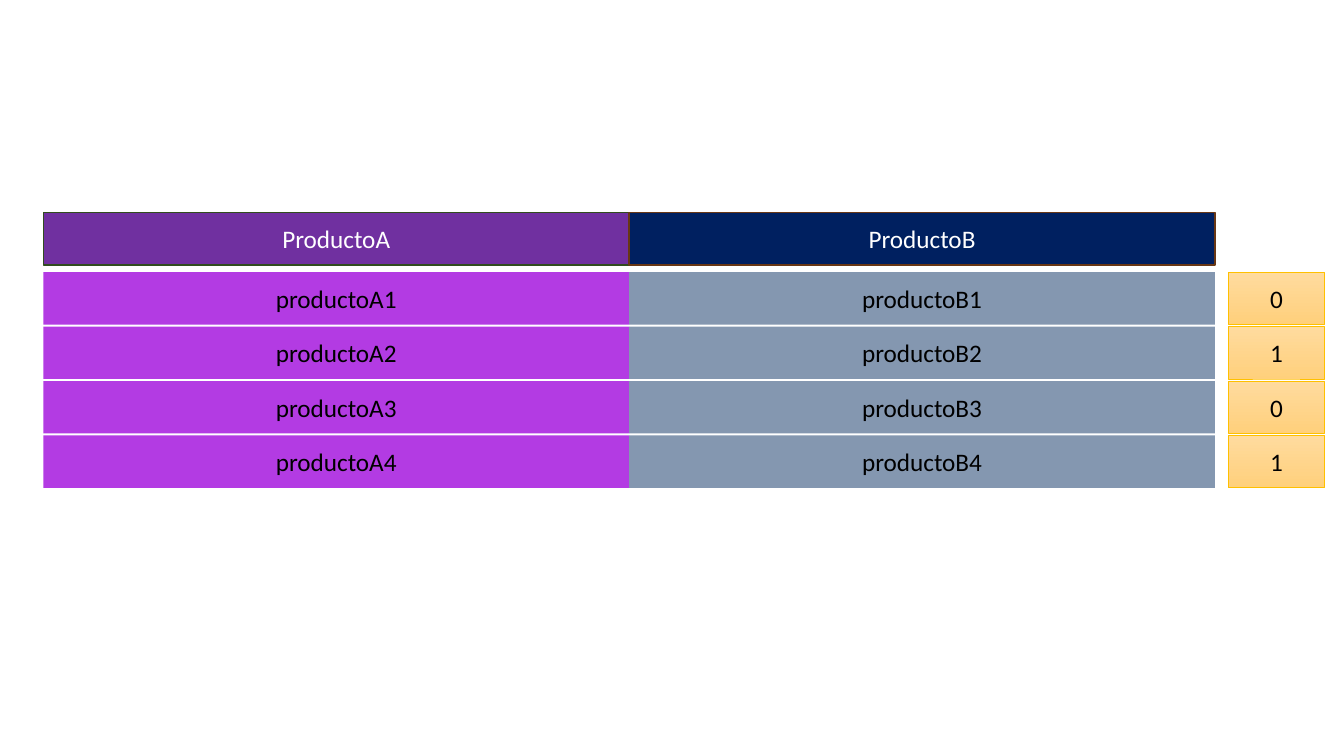
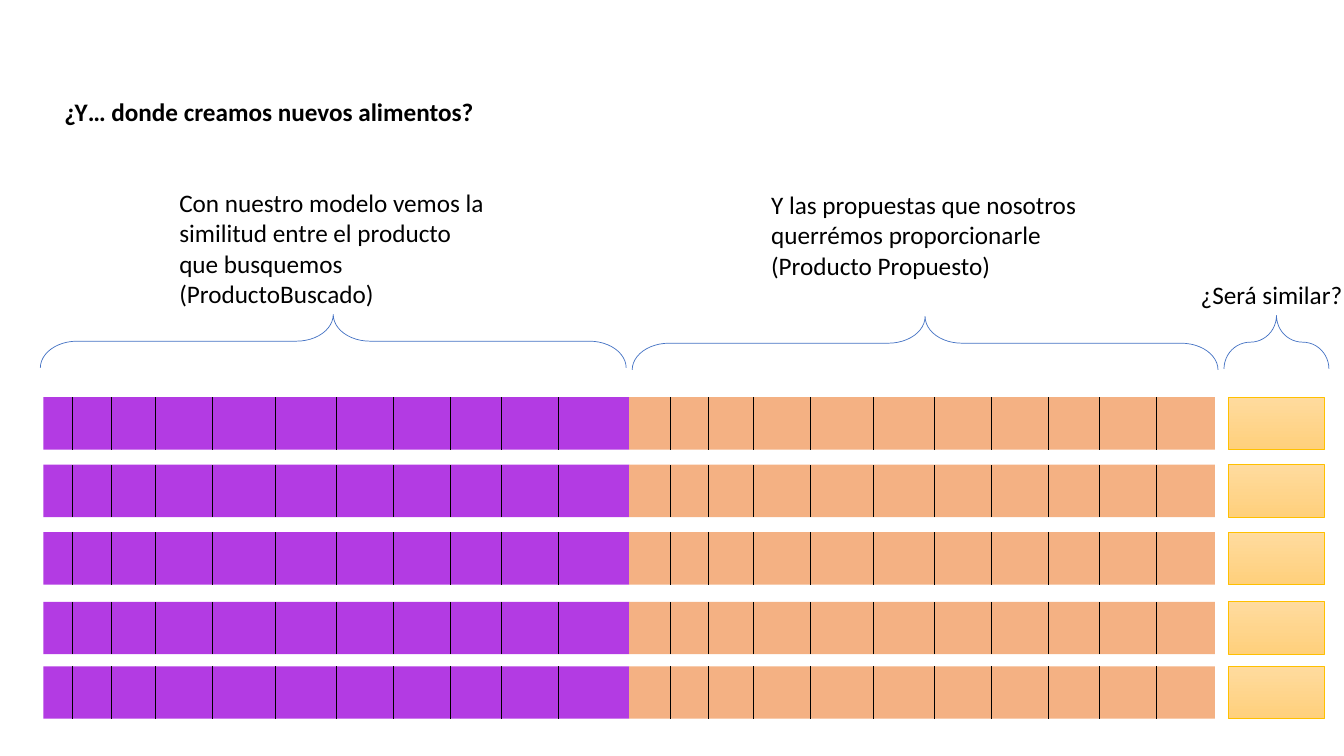
"""Builds two slides that compare product pairs with a similarity flag."""
from lxml.etree import SubElement
from pptx import Presentation
from pptx.dml.color import RGBColor
from pptx.enum.shapes import MSO_CONNECTOR, MSO_SHAPE
from pptx.enum.text import MSO_ANCHOR, MSO_AUTO_SIZE, PP_ALIGN
from pptx.oxml.ns import qn
from pptx.util import Inches, Pt

BLACK = RGBColor(0x00, 0x00, 0x00)
WHITE = RGBColor(0xFF, 0xFF, 0xFF)
PURPLE = RGBColor(0x70, 0x30, 0xA0)
NAVY = RGBColor(0x00, 0x20, 0x60)
VIOLET = RGBColor(0xB3, 0x3B, 0xE3)
SLATE = RGBColor(0x84, 0x97, 0xB0)
PEACH = RGBColor(0xF4, 0xB1, 0x83)
GREEN_EDGE = RGBColor(0x31, 0x4C, 0x1F)
BROWN_EDGE = RGBColor(0x68, 0x37, 0x15)
GOLD_EDGE = RGBColor(0xFF, 0xC0, 0x00)
BRACE_BLUE = RGBColor(0x44, 0x72, 0xC4)
GOLD_STOPS = RGBColor(0xFF, 0xDB, 0x9E), RGBColor(0xFF, 0xD0, 0x7C)

HEADERS = [("ProductoA", PURPLE, GREEN_EDGE), ("ProductoB", NAVY, BROWN_EDGE)]
PAIRS = [
    ("productoA1", "productoB1", "0"),
    ("productoA2", "productoB2", "1"),
    ("productoA3", "productoB3", "0"),
    ("productoA4", "productoB4", "1"),
]
QUESTION = "¿Y… donde creamos nuevos alimentos?"
CAPTIONS = [
    (1.68, 1.81, 3.27, 1.31, [
        "Con nuestro modelo vemos la similitud entre el producto que busquemos (ProductoBuscado)"]),
    (7.55, 1.83, 3.27, 1.01, [
        "Y las propuestas que nosotros querrémos proporcionarle", "(Producto Propuesto)"]),
    (11.81, 2.72, 2.38, 0.4, ["¿Será similar?"]),
]
BRACES = [(0.4, 3.12, 5.81), (6.27, 3.14, 5.81), (12.14, 3.13, 1.04)]

PRODUCT_W, FLAG_W, BAR_H = 5.81, 0.96, 0.52
PRODUCT_LEFTS = [0.43, 0.43 + PRODUCT_W]
FLAG_LEFT = 12.18
HEADER_TOP, PAIR_TOP, PAIR_PITCH = 2.11, 2.7, 0.54
VECTOR_TOPS = [3.94, 4.61, 5.28, 5.97, 6.61]
FEATURE_XS = [0.72, 1.1, 1.54, 2.11, 2.73, 3.34, 3.9, 4.47, 4.97, 5.54]
PROPOSAL_SHIFT = 5.93
BRACE_H = 0.53
BODY = {"name": "Calibri", "size": Pt(18), "bold": False}


def write(frame, paragraphs, color=BLACK, align=PP_ALIGN.LEFT, **changes):
    frame.word_wrap = True
    for index, text in enumerate(paragraphs):
        paragraph = frame.paragraphs[0] if index == 0 else frame.add_paragraph()
        paragraph.alignment = align
        run = paragraph.add_run()
        run.text = text
        for key, value in {**BODY, **changes}.items():
            setattr(run.font, key, value)
        run.font.color.rgb = color


def stroke(line, color, width):
    line.color.rgb = color
    line.width = Pt(width)


def add_bar(slide, left, top, width, text="", fill=None, edge=None, color=BLACK):
    bar = slide.shapes.add_shape(
        MSO_SHAPE.RECTANGLE, Inches(left), Inches(top), Inches(width), Inches(BAR_H))
    bar.shadow.inherit = False
    if fill is not None:
        bar.fill.solid()
        bar.fill.fore_color.rgb = fill
    if edge:
        stroke(bar.line, *edge)
    else:
        bar.line.fill.background()
    if text:
        bar.text_frame.vertical_anchor = MSO_ANCHOR.MIDDLE
        write(bar.text_frame, [text], color, PP_ALIGN.CENTER)
    return bar


def add_flag(slide, top, text=""):
    flag = add_bar(slide, FLAG_LEFT, top, FLAG_W, text, edge=(GOLD_EDGE, 0.5))
    flag.fill.gradient()
    flag.fill.gradient_angle = 270
    for stop, color in zip(flag.fill.gradient_stops, GOLD_STOPS):
        stop.color.rgb = color


def add_divider(slide, x, top):
    divider = slide.shapes.add_connector(
        MSO_CONNECTOR.STRAIGHT, Inches(x), Inches(top + BAR_H), Inches(x), Inches(top))
    stroke(divider.line, BLACK, 0.5)
    SubElement(divider.element.spPr, qn("a:effectLst"))


def add_brace(slide, left, top, span):
    middle_x, middle_y = left + span / 2, top + BRACE_H / 2
    brace = slide.shapes.add_shape(
        MSO_SHAPE.LEFT_BRACE, Inches(middle_x - BRACE_H / 2), Inches(middle_y - span / 2),
        Inches(BRACE_H), Inches(span))
    brace.rotation = 90
    brace.adjustments[0] = 0.69
    brace.shadow.inherit = False
    brace.fill.background()
    stroke(brace.line, BRACE_BLUE, 0.5)


def add_caption(slide, left, top, width, height, paragraphs, **changes):
    frame = slide.shapes.add_textbox(
        Inches(left), Inches(top), Inches(width), Inches(height)).text_frame
    frame.auto_size = MSO_AUTO_SIZE.SHAPE_TO_FIT_TEXT
    write(frame, paragraphs, **changes)


def build_pairs(slide):
    for left, (text, fill, edge) in zip(PRODUCT_LEFTS, HEADERS):
        add_bar(slide, left, HEADER_TOP, PRODUCT_W, text, fill, (edge, 1), WHITE)
    for row, (*products, similar) in enumerate(PAIRS):
        top = PAIR_TOP + row * PAIR_PITCH
        for left, text, fill in zip(PRODUCT_LEFTS, products, (VIOLET, SLATE)):
            add_bar(slide, left, top, PRODUCT_W, text, fill)
        add_flag(slide, top, similar)


def build_vectors(slide):
    for top in VECTOR_TOPS:
        for left, fill in zip(PRODUCT_LEFTS, (VIOLET, PEACH)):
            add_bar(slide, left, top, PRODUCT_W, fill=fill)
        for shift in (0, PROPOSAL_SHIFT):
            for x in FEATURE_XS:
                add_divider(slide, x + shift, top)
        add_flag(slide, top)
    for brace in BRACES:
        add_brace(slide, *brace)
    for caption in CAPTIONS:
        add_caption(slide, *caption)
    add_caption(slide, 0.54, 0.91, 9.99, 0.4, [QUESTION], bold=True)


def main():
    deck = Presentation()
    deck.slide_width, deck.slide_height = Inches(13.33), Inches(7.5)
    for build in (build_pairs, build_vectors):
        build(deck.slides.add_slide(deck.slide_layouts[6]))
    deck.save("out.pptx")


if __name__ == "__main__":
    main()
